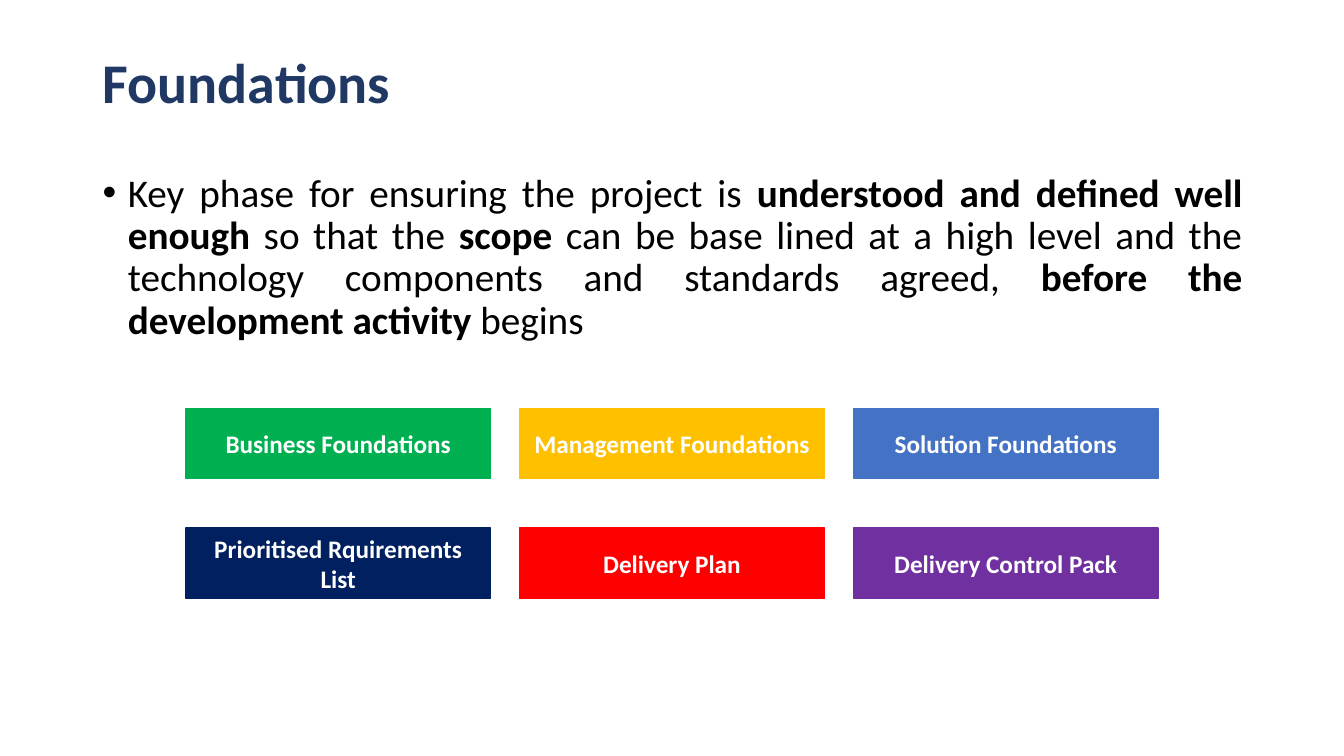
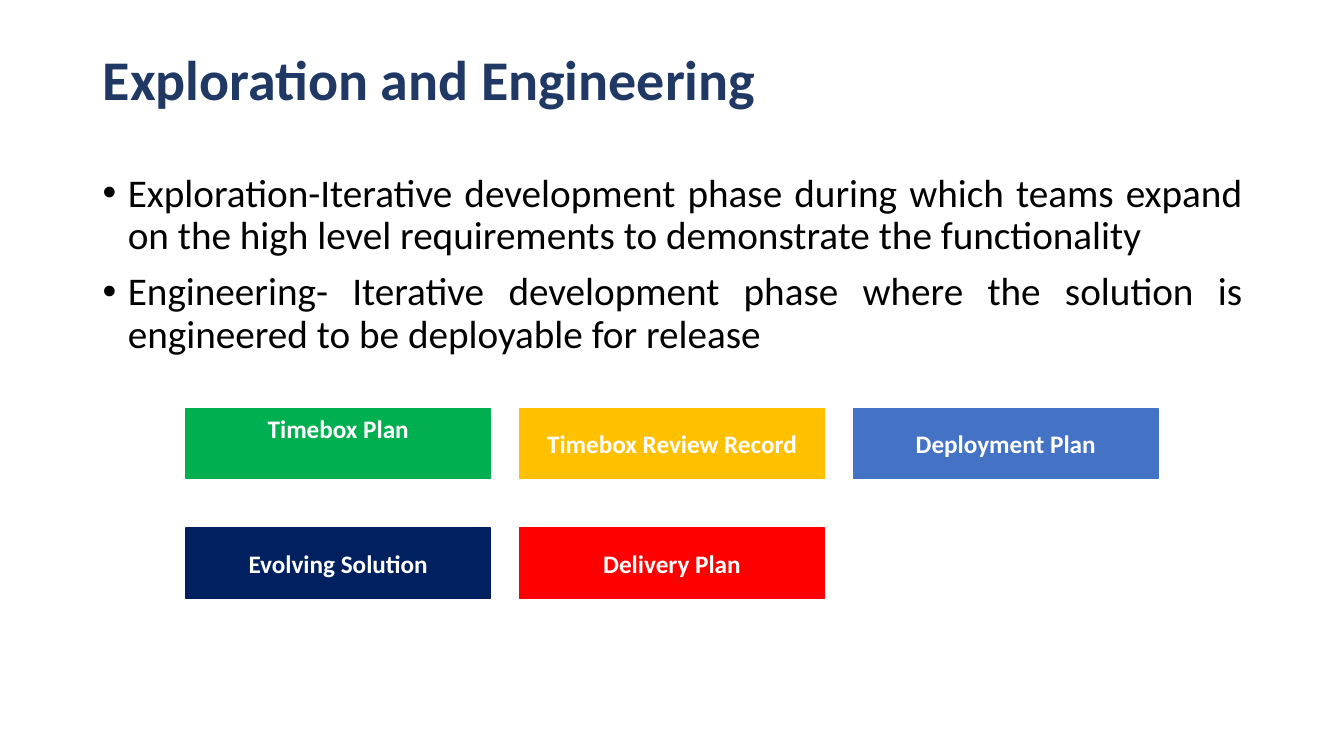
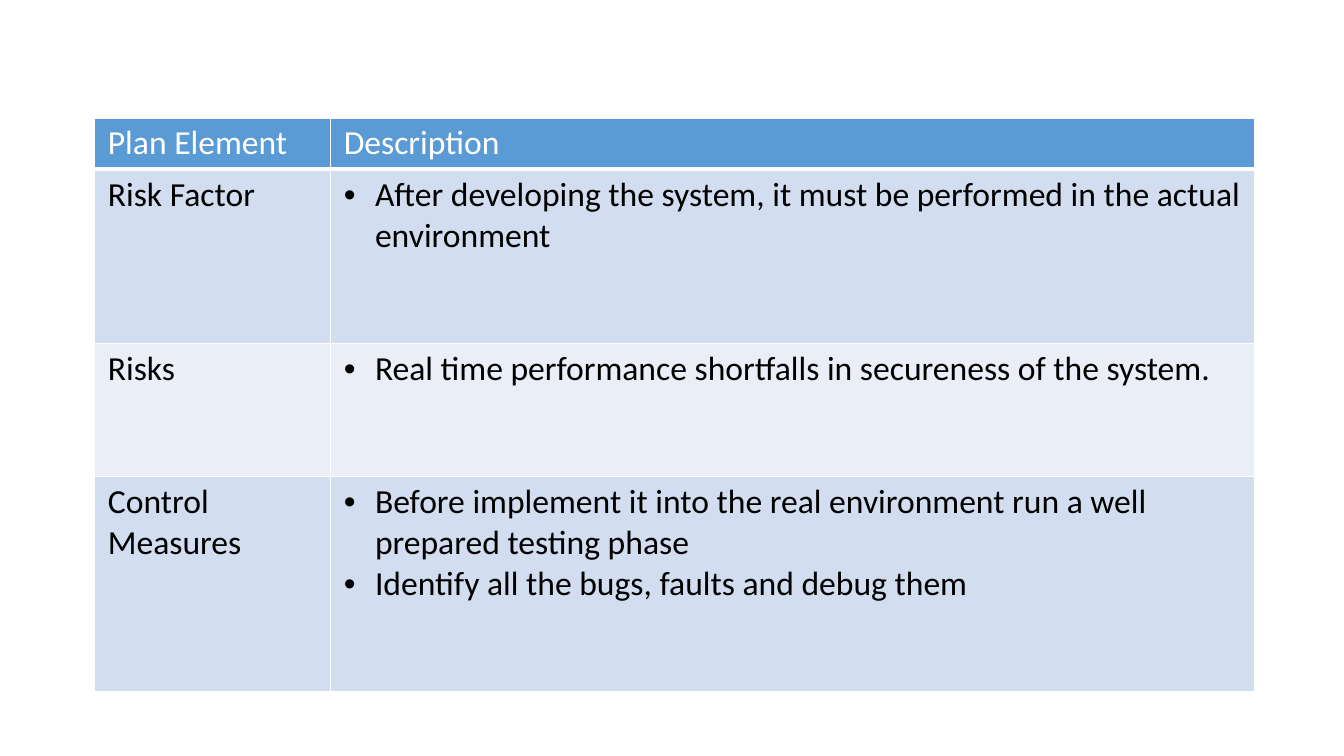
from lxml import etree
from pptx import Presentation, oxml
from pptx import util as u
from pptx.dml.color import RGBColor
from pptx.enum import shapes, text
from pptx.oxml import ns

# Shared style
FONT = "Calibri"
BLACK = RGBColor(0x00, 0x00, 0x00)
WHITE = RGBColor(0xFF, 0xFF, 0xFF)
TITLE_BLUE = RGBColor(0x20, 0x38, 0x64)
GREEN = RGBColor(0x00, 0xB0, 0x50)
AMBER = RGBColor(0xFF, 0xC0, 0x00)
BLUE = RGBColor(0x44, 0x72, 0xC4)
NAVY = RGBColor(0x00, 0x20, 0x60)
RED = RGBColor(0xFF, 0x00, 0x00)
PURPLE = RGBColor(0x70, 0x30, 0xA0)
HEADER_BLUE = RGBColor(0x5B, 0x9B, 0xD5)
BANDS = (RGBColor(0xD2, 0xDE, 0xEF), RGBColor(0xEA, 0xEF, 0xF7))
PRODUCT_COLOURS = (GREEN, AMBER, BLUE, NAVY, RED, PURPLE)

TITLE_FONT = {"name": FONT, "size": u.Pt(40), "bold": True}
BODY_FONT = {"name": FONT, "size": u.Pt(28)}
PRODUCT_FONT = {"name": FONT, "size": u.Pt(18), "bold": True}
TABLE_FONT = {"name": FONT, "size": u.Pt(24)}

# Layout, in inches
SLIDE_WIDTH, SLIDE_HEIGHT = 13.33, 7.5
TEXT_LEFT, TEXT_WIDTH = 0.92, 11.5
TITLE_HEIGHT = 0.9
BODY_TOP, BODY_HEIGHT = 1.67, 2.2
BOX_WIDTH, BOX_HEIGHT = 3.02, 0.7
COLUMN_GAP, ROW_GAP = 0.29, 0.49
GRID_TOP, GRID_COLUMNS = 4.05, 3
TABLE_LEFT, TABLE_TOP = 0.94, 1.17
COLUMN_WIDTHS = (2.34, 9.16)
ROW_HEIGHTS = (0.51, 1.73, 1.32, 2.13)

# Content: each bullet is a list of (words, bold) runs
PHASES = [
    {
        "title": "Foundations",
        "title_top": 0.4,
        "bullets": [[
            ("Key phase for ensuring the project is ", False),
            ("understood and defined well enough", True),
            (" so that the ", False),
            ("scope", True),
            (" can be base lined at a high level and the technology "
             "components and standards agreed, ", False),
            ("before the development activity", True),
            (" begins", False),
        ]],
        "products": ["Business Foundations", "Management Foundations",
                     "Solution Foundations", "Prioritised Rquirements List",
                     "Delivery Plan", "Delivery Control Pack"],
        "raised": (),
    },
    {
        "title": "Exploration and Engineering",
        "title_top": 0.37,
        "bullets": [
            [("Exploration-Iterative development phase during which teams "
              "expand on the high level requirements to demonstrate the "
              "functionality", False)],
            [("Engineering- Iterative development phase where the solution "
              "is engineered to be deployable for release", False)],
        ],
        "products": ["Timebox Plan", "Timebox Review Record",
                     "Deployment Plan", "Evolving Solution", "Delivery Plan"],
        "raised": ("Timebox Plan",),
    },
]
RISK_HEADER = ("Plan Element", "Description")
RISK_ROWS = [
    ("Risk Factor", ["After developing the system, it must be performed in "
                     "the actual environment"]),
    ("Risks", ["Real time performance shortfalls in secureness of the "
               "system."]),
    ("Control Measures", ["Before implement it into the real environment run "
                          "a well prepared testing phase",
                          "Identify all the bugs, faults and debug them"]),
]


def add_run(paragraph, words, style, colour, **extra):
    run = paragraph.add_run()
    run.text = words
    for name, value in {**style, **extra}.items():
        setattr(run.font, name, value)
    run.font.color.rgb = colour


def next_paragraph(frame, index):
    return frame.paragraphs[0] if index == 0 else frame.add_paragraph()


def add_bullet(paragraph, indent):
    properties = paragraph._p.get_or_add_pPr()
    properties.set("marL", str(u.Inches(indent)))
    properties.set("indent", str(-u.Inches(indent)))
    etree.SubElement(properties, ns.qn("a:buFont"), typeface="Arial")
    etree.SubElement(properties, ns.qn("a:buChar"), char="•")


def set_title(slide, words, top):
    title = slide.shapes.title
    title.left, title.top = u.Inches(TEXT_LEFT), u.Inches(top)
    title.width, title.height = u.Inches(TEXT_WIDTH), u.Inches(TITLE_HEIGHT)
    frame = title.text_frame
    frame.auto_size = text.MSO_AUTO_SIZE.NONE
    frame.vertical_anchor = text.MSO_ANCHOR.MIDDLE
    paragraph = frame.paragraphs[0]
    paragraph.alignment = text.PP_ALIGN.LEFT
    paragraph.line_spacing = 0.9
    add_run(paragraph, words, TITLE_FONT, TITLE_BLUE)


def add_body(slide, bullets):
    box = slide.shapes.add_textbox(
        u.Inches(TEXT_LEFT), u.Inches(BODY_TOP),
        u.Inches(TEXT_WIDTH), u.Inches(BODY_HEIGHT))
    frame = box.text_frame
    frame.word_wrap = True
    for index, runs in enumerate(bullets):
        paragraph = next_paragraph(frame, index)
        add_bullet(paragraph, 0.25)
        paragraph.alignment = text.PP_ALIGN.JUSTIFY
        paragraph.line_spacing = 0.9
        paragraph.space_before = u.Pt(10 if index else 0)
        for words, bold in runs:
            add_run(paragraph, words, BODY_FONT, BLACK, bold=bold)


def add_products(slide, products, raised):
    grid_width = GRID_COLUMNS * (BOX_WIDTH + COLUMN_GAP) - COLUMN_GAP
    grid_left = (SLIDE_WIDTH - grid_width) / 2
    for index, (product, colour) in enumerate(zip(products, PRODUCT_COLOURS)):
        row, column = divmod(index, GRID_COLUMNS)
        shape = slide.shapes.add_shape(
            shapes.MSO_SHAPE.RECTANGLE,
            u.Inches(grid_left + column * (BOX_WIDTH + COLUMN_GAP)),
            u.Inches(GRID_TOP + row * (BOX_HEIGHT + ROW_GAP)),
            u.Inches(BOX_WIDTH), u.Inches(BOX_HEIGHT))
        shape.shadow.inherit = False
        shape.fill.solid()
        shape.fill.fore_color.rgb = colour
        shape.line.color.rgb = colour
        shape.line.width = u.Pt(1)
        frame = shape.text_frame
        frame.word_wrap = True
        frame.vertical_anchor = (text.MSO_ANCHOR.TOP if product in raised
                                 else text.MSO_ANCHOR.MIDDLE)
        frame.paragraphs[0].alignment = text.PP_ALIGN.CENTER
        add_run(frame.paragraphs[0], product, PRODUCT_FONT, WHITE)


def set_borders(cell, top, bottom):
    properties = cell._tc.get_or_add_tcPr()
    for side, points in (("L", 1), ("R", 1), ("T", top), ("B", bottom)):
        properties.append(oxml.parse_xml(
            f'<a:ln{side} {ns.nsdecls("a")} w="{u.Pt(points)}"><a:solidFill>'
            f'<a:srgbClr val="{WHITE}"/></a:solidFill></a:ln{side}>'))


def fill_cell(cell, lines, colour, background, bulleted):
    cell.margin_left = cell.margin_right = u.Inches(0.13)
    cell.margin_top = cell.margin_bottom = u.Inches(0.05)
    cell.fill.solid()
    cell.fill.fore_color.rgb = background
    for index, line in enumerate(lines):
        paragraph = next_paragraph(cell.text_frame, index)
        if bulleted:
            add_bullet(paragraph, 0.31)
        add_run(paragraph, line, TABLE_FONT, colour, bold=False)


def add_risk_table(slide):
    table = slide.shapes.add_table(
        len(ROW_HEIGHTS), len(COLUMN_WIDTHS),
        u.Inches(TABLE_LEFT), u.Inches(TABLE_TOP),
        u.Inches(sum(COLUMN_WIDTHS)), u.Inches(sum(ROW_HEIGHTS))).table
    for column, width in zip(table.columns, COLUMN_WIDTHS):
        column.width = u.Inches(width)
    for row, height in zip(table.rows, ROW_HEIGHTS):
        row.height = u.Inches(height)
    rows = [[[words] for words in RISK_HEADER]]
    rows += [[[element], lines] for element, lines in RISK_ROWS]
    for row, contents in enumerate(rows):
        header = row == 0
        background = HEADER_BLUE if header else BANDS[(row - 1) % 2]
        for column, lines in enumerate(contents):
            cell = table.cell(row, column)
            set_borders(cell, 3 if row == 1 else 1, 3 if header else 1)
            fill_cell(cell, lines, WHITE if header else BLACK, background,
                      bulleted=column == 1 and not header)


def main():
    presentation = Presentation()
    presentation.slide_width = u.Inches(SLIDE_WIDTH)
    presentation.slide_height = u.Inches(SLIDE_HEIGHT)
    title_only, blank = presentation.slide_layouts[5], presentation.slide_layouts[6]

    # Phase slides
    for phase in PHASES:
        slide = presentation.slides.add_slide(title_only)
        set_title(slide, phase["title"], phase["title_top"])
        add_body(slide, phase["bullets"])
        add_products(slide, phase["products"], phase["raised"])

    # Risk plan
    add_risk_table(presentation.slides.add_slide(blank))
    presentation.save("out.pptx")


if __name__ == "__main__":
    main()
